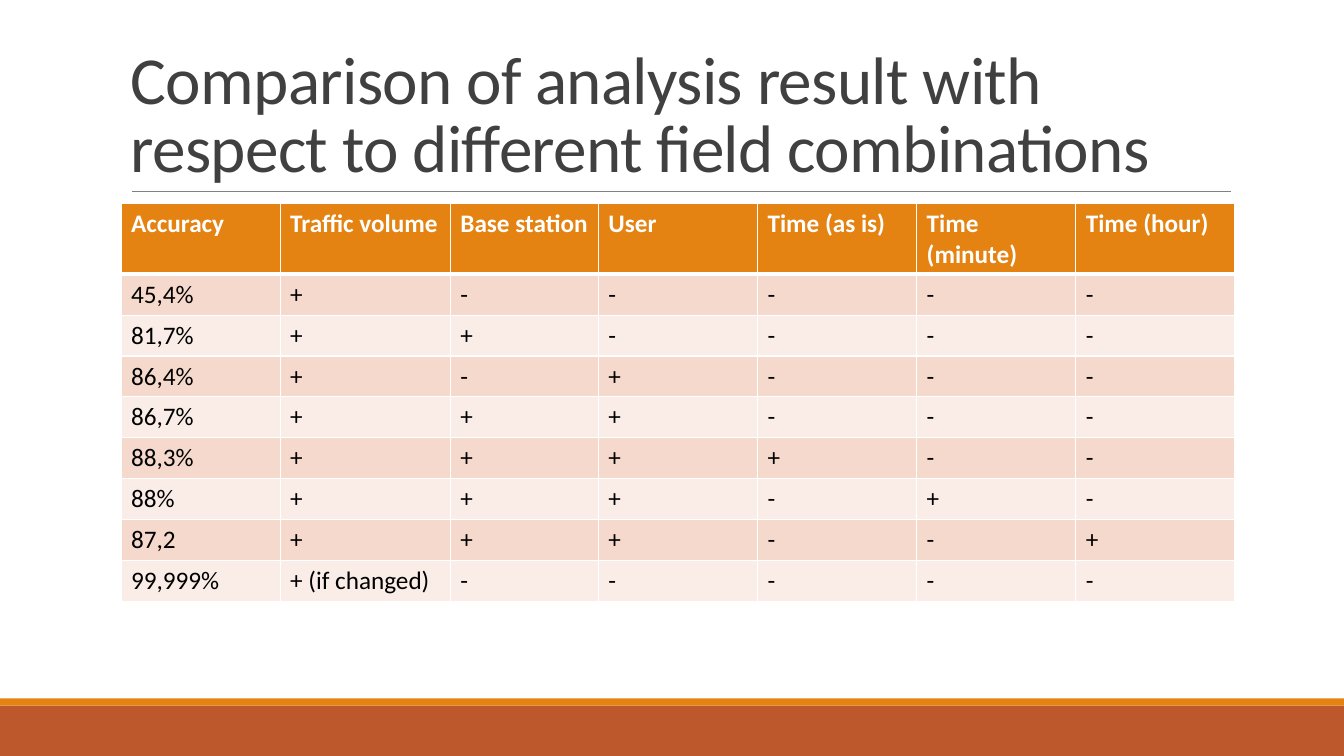
from dataclasses import dataclass

from lxml.etree import SubElement
from pptx import Presentation
from pptx.dml.color import RGBColor as RGB
from pptx.enum.shapes import MSO_CONNECTOR, MSO_SHAPE
from pptx.enum.text import MSO_ANCHOR
from pptx.oxml.ns import qn
from pptx.util import Cm, Pt


@dataclass(frozen=True)
class Theme:
    font: str = "Calibri"
    title_size: int = 48
    table_size: int = 18
    title: str = "404040"
    text: str = "000000"
    white: str = "FFFFFF"
    rule: str = "808080"
    orange: str = "E48312"
    rust: str = "BD582C"
    bands: tuple = ("F5D9CC", "FAEDE7")


THEME = Theme()
SLIDE_W, SLIDE_H = 33.87, 19.05
HEADER_H, ROW_H = 1.78, 1.03

# Column headings with their widths in cm
COLUMNS = [
    ("Accuracy", 4.01), ("Traffic volume", 4.29), ("Base station", 3.73),
    ("User", 4.01), ("Time (as is)", 4.01), ("Time (minute)", 4.01),
    ("Time (hour)", 4.01),
]
# Accuracy, then one mark for each field
RESULTS = [
    ("45,4%", *"+-----"),
    ("81,7%", *"++----"),
    ("86,4%", *"+-+---"),
    ("86,7%", *"+++---"),
    ("88,3%", *"++++--"),
    ("88%", *"+++-+-"),
    ("87,2", *"+++--+"),
    ("99,999%", "+ (if changed)", *"-----"),
]


def style_run(r, size, color, bold=False):
    r.font.name = THEME.font
    r.font.size = Pt(size)
    r.font.bold = bold
    r.font.color.rgb = RGB.from_string(color)


def add_bar(s, top, height, color):
    sp = s.shapes.add_shape(MSO_SHAPE.RECTANGLE, 0, Cm(top), Cm(SLIDE_W), Cm(height))
    sp.shadow.inherit = False
    sp.fill.solid()
    sp.fill.fore_color.rgb = RGB.from_string(color)
    sp.line.fill.background()


def add_rule(s, left, right, y):
    line = s.shapes.add_connector(MSO_CONNECTOR.STRAIGHT, Cm(left), Cm(y), Cm(right), Cm(y))
    line.line.color.rgb = RGB.from_string(THEME.rule)
    line.line.width = Pt(0.5)
    SubElement(line._element.spPr, qn("a:effectLst"))


def add_title(s, text):
    tf = s.shapes.add_textbox(Cm(3.05), Cm(0.79), Cm(27.94), Cm(4.04)).text_frame
    tf.word_wrap = True
    tf.vertical_anchor = MSO_ANCHOR.BOTTOM
    tf.text = text
    p = tf.paragraphs[0]
    p.line_spacing = 0.85
    r = p.runs[0]
    style_run(r, THEME.title_size, THEME.title)
    r._r.get_or_add_rPr().set("spc", "-50")


def set_borders(cell, top, bottom):
    tc_pr = cell._tc.get_or_add_tcPr()
    for side, width in (("L", 1), ("R", 1), ("T", top), ("B", bottom)):
        ln = SubElement(tc_pr, qn(f"a:ln{side}"), w=str(Pt(width)))
        fill = SubElement(ln, qn("a:solidFill"))
        SubElement(fill, qn("a:srgbClr"), val=THEME.white)


def fill_cell(cell, text, row):
    header = row == 0
    set_borders(cell, top=3 if row == 1 else 1, bottom=3 if header else 1)
    cell.fill.solid()
    color = THEME.orange if header else THEME.bands[(row - 1) % 2]
    cell.fill.fore_color.rgb = RGB.from_string(color)
    cell.text_frame.text = text
    r = cell.text_frame.paragraphs[0].runs[0]
    style_run(r, THEME.table_size, THEME.white if header else THEME.text, header)


def add_results_table(s):
    rows = [[name for name, _ in COLUMNS], *RESULTS]
    width = sum(w for _, w in COLUMNS)
    height = HEADER_H + ROW_H * len(RESULTS)
    table = s.shapes.add_table(len(rows), len(COLUMNS), Cm(3.05), Cm(5.13),
                               Cm(width), Cm(height)).table
    for column, (_, w) in zip(table.columns, COLUMNS):
        column.width = Cm(w)
    for i, values in enumerate(rows):
        table.rows[i].height = Cm(ROW_H if i else HEADER_H)
        for j, value in enumerate(values):
            fill_cell(table.cell(i, j), value, i)


def main():
    prs = Presentation()
    prs.slide_width, prs.slide_height = Cm(SLIDE_W), Cm(SLIDE_H)
    s = prs.slides.add_slide(prs.slide_layouts[6])

    # Footer bars
    add_bar(s, 17.78, 1.27, THEME.rust)
    add_bar(s, 17.6, 0.18, THEME.orange)

    # Title and its rule
    add_rule(s, 3.33, 31.01, 4.83)
    add_title(s, "Comparison of analysis result with respect to different field combinations")

    # Accuracy by field combination
    add_results_table(s)

    prs.save("out.pptx")


if __name__ == "__main__":
    main()
